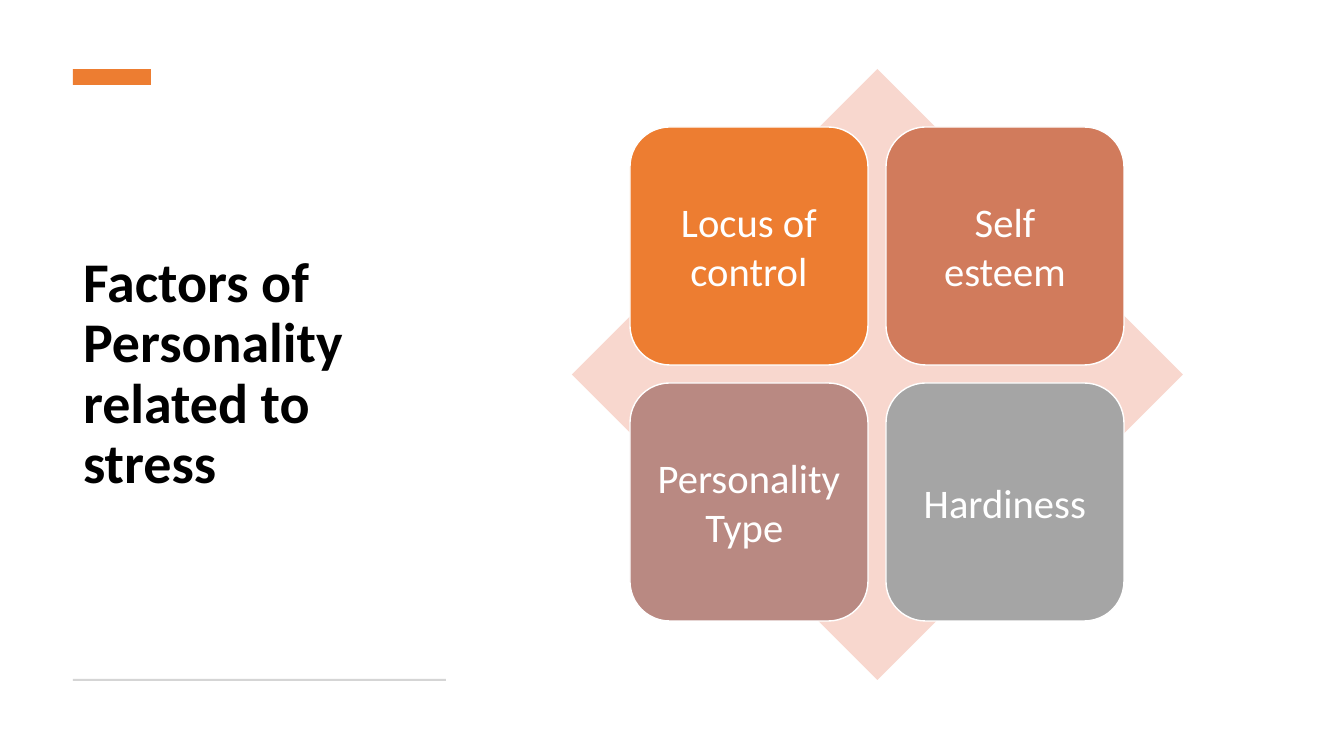
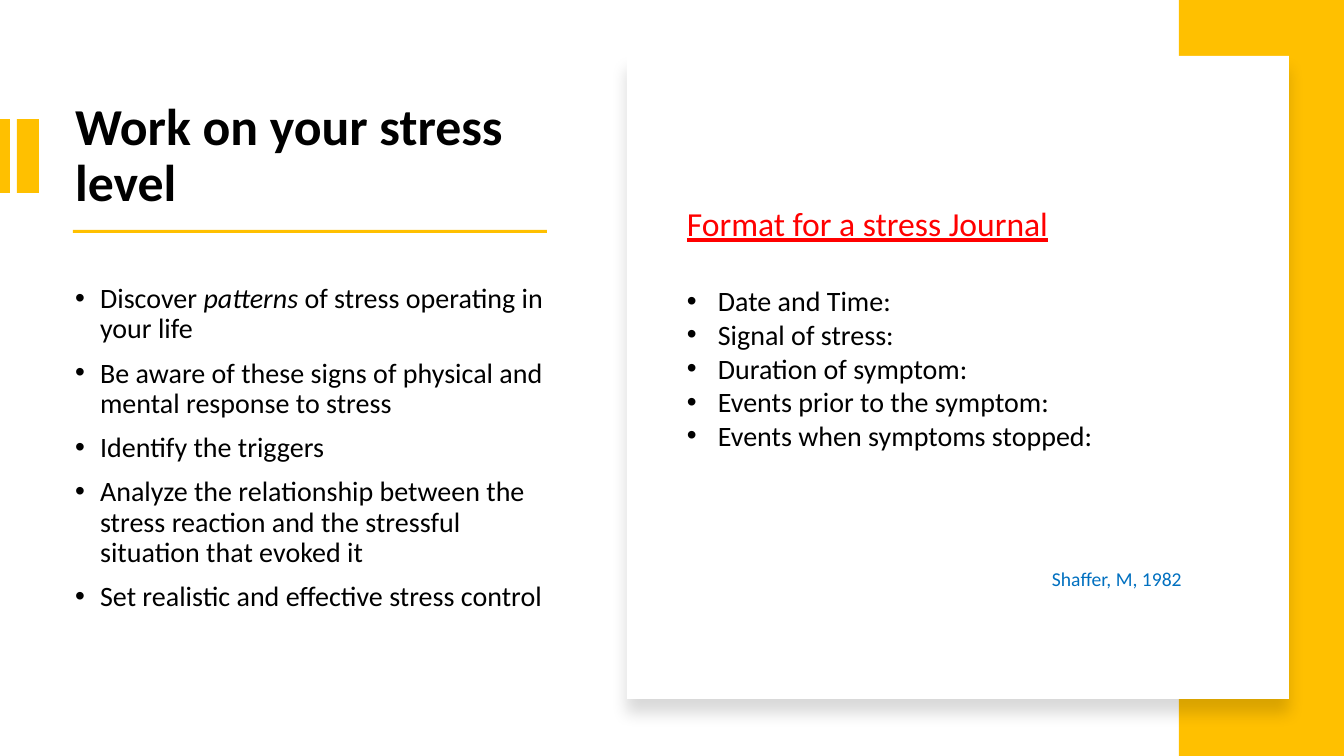
from lxml import etree
from pptx import Presentation
from pptx.dml.color import RGBColor
from pptx.enum.shapes import MSO_SHAPE as Shape
from pptx.enum.text import MSO_ANCHOR as Anchor, MSO_AUTO_SIZE as AutoSize, PP_ALIGN as Align
from pptx.oxml import parse_xml
from pptx.oxml.ns import nsdecls, qn
from pptx.util import Emu, Pt

PX = 914400 / 100.8
FONT = "Calibri"
BLACK = RGBColor(0x00, 0x00, 0x00)
WHITE = RGBColor(0xFF, 0xFF, 0xFF)
ORANGE = RGBColor(0xED, 0x7D, 0x31)
TERRACOTTA = RGBColor(0xD1, 0x7B, 0x5C)
ROSE = RGBColor(0xB9, 0x89, 0x82)
GREY = RGBColor(0xA5, 0xA5, 0xA5)
PALE_PINK = RGBColor(0xF8, 0xD7, 0xCE)
PALE_GREY = RGBColor(0xD5, 0xD5, 0xD5)
GOLD = RGBColor(0xFF, 0xC0, 0x00)
RED = RGBColor(0xFF, 0x00, 0x00)
BLUE = RGBColor(0x00, 0x70, 0xC0)
TITLE_STYLE = dict(bold=True, line_spacing=0.9)


def px(*lengths):
    return [Emu(round(length * PX)) for length in lengths]


def write(box, *paragraphs, at=None, size=20, color=BLACK, bold=False, underline=False,
          align=Align.LEFT, anchor=Anchor.MIDDLE, wrap=True, line_spacing=1.0,
          before=0, after=0, bullet_indent=0):
    """Append paragraphs to a box; words between asterisks become italic."""
    if at:
        box.left, box.top, box.width, box.height = px(*at)
    frame = box.text_frame
    frame.word_wrap = wrap
    frame.auto_size = AutoSize.NONE
    frame.vertical_anchor = anchor
    for text in paragraphs:
        para = frame.add_paragraph() if frame.text else frame.paragraphs[0]
        para.alignment = align
        para.line_spacing = line_spacing
        para.space_before, para.space_after = Pt(before), Pt(after)
        if bullet_indent:
            indent = px(bullet_indent)[0]
            properties = para._p.get_or_add_pPr()
            properties.set("marL", str(indent))
            properties.set("indent", str(-indent))
            etree.SubElement(properties, qn("a:buFont"), typeface="Arial")
            etree.SubElement(properties, qn("a:buChar"), char="•")
        for index, part in enumerate(text.split("*")):
            if part:
                span = para.add_run()
                span.text = part
                font = span.font
                font.name, font.size, font.bold = FONT, Pt(size), bold
                font.italic = index % 2 == 1
                font.underline = underline
                font.color.rgb = color


deck = Presentation()
deck.slide_width, deck.slide_height = px(1344, 756)
factors = deck.slides.add_slide(deck.slide_layouts[5])
journal = deck.slides.add_slide(deck.slide_layouts[1])

# Plain shapes of both slides, from back to front
shapes = [
    (factors, Shape.RECTANGLE, (73, 69, 78, 16), ORANGE),
    (factors, Shape.RECTANGLE, (73, 679, 373, 2), PALE_GREY),
    (factors, Shape.DIAMOND, (572, 69, 611, 611), PALE_PINK),
    (journal, Shape.RECTANGLE, (0, 119, 10, 74), GOLD),
    (journal, Shape.RECTANGLE, (17, 119, 22, 74), GOLD),
    (journal, Shape.RECTANGLE, (73, 230, 474, 3), GOLD),
    (journal, Shape.RECTANGLE, (1179, 0, 165, 756), GOLD),
    (journal, Shape.RECTANGLE, (627, 56, 662, 643), WHITE),
]
for slide, kind, at, color in shapes:
    shape = slide.shapes.add_shape(kind, *px(*at))
    shape.shadow.inherit = False
    shape.fill.solid()
    shape.fill.fore_color.rgb = color
    shape.line.fill.background()

# The journal card comes last and is the only shape with a shadow
card = shape
card.shadow.inherit = True
card._element.spPr.append(parse_xml(
    f'<a:effectLst {nsdecls("a")}>'
    f'<a:outerShdw blurRad="{Pt(11)}" dist="{Pt(10)}" dir="5400000" algn="t" rotWithShape="0">'
    '<a:srgbClr val="000000"><a:alpha val="15000"/></a:srgbClr>'
    '</a:outerShdw></a:effectLst>'))

# Factors of personality
write(factors.shapes.title, "Factors of Personality related to stress",
      at=(73, 102, 373, 546), size=40, **TITLE_STYLE)

TILE, GAP = 238, 18
tiles = [
    ("Locus of control", ORANGE),
    ("Self esteem", TERRACOTTA),
    ("Personality Type ", ROSE),
    ("Hardiness", GREY),
]
for index, (label, color) in enumerate(tiles):
    row, column = divmod(index, 2)
    tile = factors.shapes.add_shape(
        Shape.ROUNDED_RECTANGLE,
        *px(630 + column * (TILE + GAP), 127 + row * (TILE + GAP), TILE, TILE))
    tile.shadow.inherit = False
    tile.fill.solid()
    tile.fill.fore_color.rgb = color
    tile.line.color.rgb = WHITE
    tile.line.width = Pt(1)
    frame = tile.text_frame
    frame.margin_left, frame.margin_top, frame.margin_right, frame.margin_bottom = px(12, 12, 12, 12)
    write(tile, label, size=29, color=WHITE, align=Align.CENTER)

# Stress level and journal
write(journal.shapes.title, "Work on your stress level",
      at=(65, 95, 503, 124), size=37, after=6, **TITLE_STYLE)
write(journal.placeholders[1],
      "Discover *patterns *of stress operating in your life",
      "Be aware of these signs of physical and mental response to stress",
      "Identify the triggers",
      "Analyze the relationship between the stress reaction and the stressful "
      "situation that evoked it",
      "Set realistic and effective stress control",
      at=(65, 257, 503, 383), line_spacing=0.9, before=10, bullet_indent=25)

entries = journal.shapes.add_textbox(*px(677, 198, 517, 261))
write(entries, "Format for a stress Journal", size=24, color=RED, underline=True,
      anchor=Anchor.TOP, after=29)
write(entries, "Date and Time:", "Signal of stress:", "Duration of symptom:",
      "Events prior to the symptom:", "Events when symptoms stopped:",
      anchor=Anchor.TOP, bullet_indent=31)

citation = journal.shapes.add_textbox(*px(1042, 562, 151, 34))
write(citation, "Shaffer, M, 1982", size=14, color=BLUE, anchor=Anchor.TOP, wrap=False)

deck.save("out.pptx")
